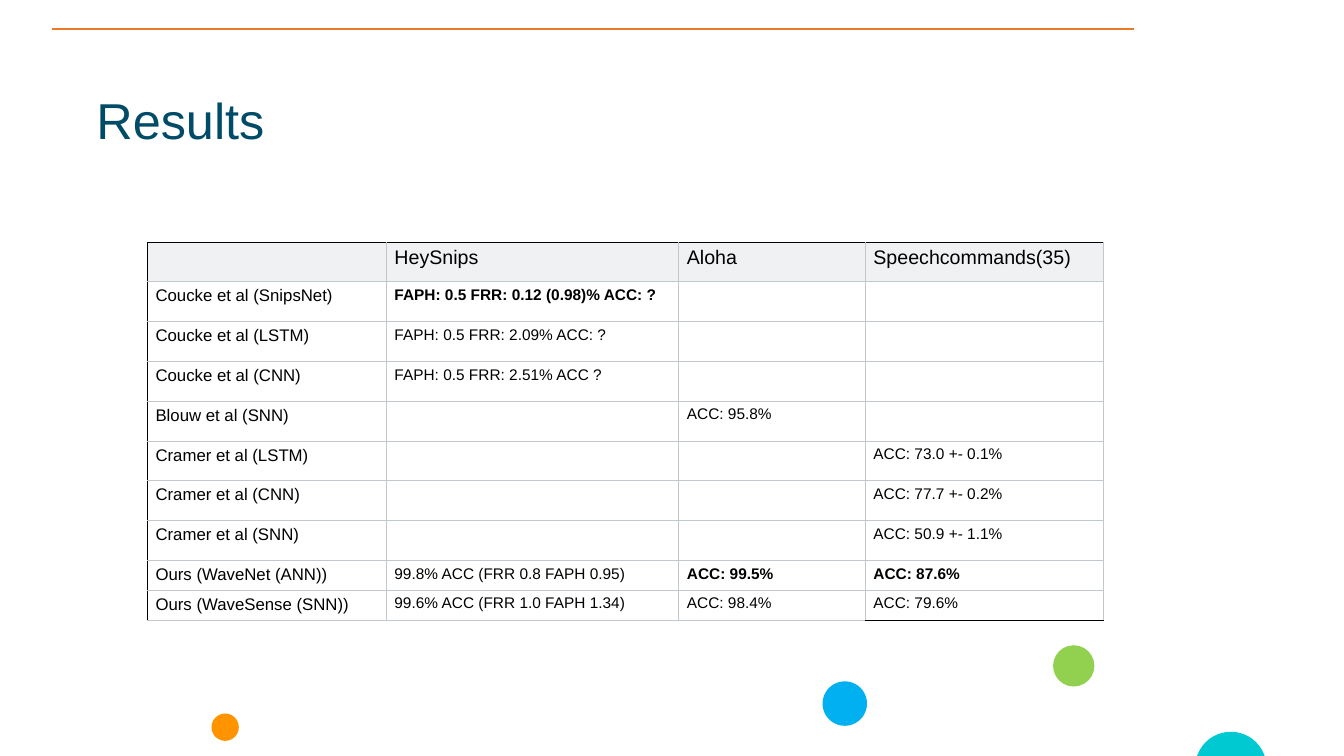
import pptx
import pptx.util
import pptx.dml.color
import pptx.enum.shapes
import pptx.enum.text
import pptx.oxml
import pptx.oxml.ns

Cm = pptx.util.Cm
Pt = pptx.util.Pt

FONT = "Arial"
COLOURS = {
    "title": "004B67", "text": "000000", "rule": "EC792A",
    "header": "F0F1F3", "body": "FFFFFF", "grid": "C1C7CD", "frame": "000000",
    "teal": "00C9D2", "blue": "00B0F0", "green": "92D050", "orange": "FF9300",
}
TITLE = "Results"
HEADER = ["", "HeySnips", "Aloha", "Speechcommands(35)"]
RESULTS = [
    ["Coucke et al (SnipsNet)", "FAPH: 0.5 FRR: 0.12 (0.98)% ACC: ?", "", ""],
    ["Coucke et al (LSTM)", "FAPH: 0.5 FRR: 2.09% ACC: ?", "", ""],
    ["Coucke et al (CNN)", "FAPH: 0.5 FRR: 2.51% ACC ?", "", ""],
    ["Blouw et al (SNN)", "", "ACC: 95.8%", ""],
    ["Cramer et al (LSTM)", "", "", "ACC: 73.0 +- 0.1%"],
    ["Cramer et al (CNN)", "", "", "ACC: 77.7 +- 0.2%"],
    ["Cramer et al (SNN)", "", "", "ACC: 50.9 +- 1.1%"],
    ["Ours (WaveNet (ANN))", "99.8% ACC (FRR 0.8 FAPH 0.95)", "ACC: 99.5%", "ACC: 87.6%"],
    ["Ours (WaveSense (SNN))", "99.6% ACC (FRR 1.0 FAPH 1.34)", "ACC: 98.4%", "ACC: 79.6%"],
]
BEST = {(1, 1), (8, 2), (8, 3)}  # row, column of the bold results

# colour, left, top, diameter in cm
DOTS = [
    ("teal", 30.12, 18.44, 1.8),
    ("blue", 20.73, 17.17, 1.12),
    ("green", 26.54, 16.26, 1.04),
    ("orange", 5.33, 17.98, 0.69),
]
COLUMN_WIDTHS = [6.02, 7.37, 4.7, 6.02]
HEADER_HEIGHT, ROW_HEIGHT = 0.81, 0.74


def rgb(name):
    return pptx.dml.color.RGBColor.from_string(COLOURS[name])


def add_run(para, text, size, colour, bold=False):
    span = para.add_run()
    span.text = text
    span.font.name = FONT
    span.font.size = Pt(size)
    span.font.bold = bold
    span.font.color.rgb = rgb(colour)


def add_dot(page, colour, left, top, diameter):
    dot = page.shapes.add_shape(pptx.enum.shapes.MSO_SHAPE.OVAL,
                                Cm(left), Cm(top), Cm(diameter), Cm(diameter))
    dot.shadow.inherit = False
    dot.fill.solid()
    dot.fill.fore_color.rgb = rgb(colour)
    dot.line.fill.background()


def add_rule(page):
    rule = page.shapes.add_connector(pptx.enum.shapes.MSO_CONNECTOR.STRAIGHT,
                                     Cm(1.32), Cm(0.74), Cm(28.58), Cm(0.74))
    rule.line.color.rgb = rgb("rule")
    rule.line.width = Pt(1.5)
    properties = rule._element.spPr
    properties.append(properties.makeelement(pptx.oxml.ns.qn("a:effectLst"), {}))


def add_title(page):
    box = page.shapes.add_textbox(Cm(2.18), Cm(2.29), Cm(28.88), Cm(2.36))
    box.text_frame.word_wrap = True
    box.text_frame.vertical_anchor = pptx.enum.text.MSO_ANCHOR.TOP
    para = box.text_frame.paragraphs[0]
    para.line_spacing = 0.9
    add_run(para, TITLE, 36, "title")


def set_borders(cell, borders):
    """Draw cell borders; borders maps L, R, T and B to colour names."""
    properties = cell._tc.get_or_add_tcPr()
    for place, side in enumerate("LRTB"):
        line = pptx.oxml.parse_xml(
            f'<a:ln{side} {pptx.oxml.ns.nsdecls("a")} w="{Pt(0.75)}"><a:solidFill>'
            f'<a:srgbClr val="{COLOURS[borders[side]]}"/></a:solidFill></a:ln{side}>')
        properties.insert(place, line)


def add_results_table(page):
    rows = [HEADER] + RESULTS
    height = HEADER_HEIGHT + ROW_HEIGHT * len(RESULTS)
    frame = page.shapes.add_table(len(rows), len(HEADER), Cm(3.71), Cm(6.1),
                                  Cm(sum(COLUMN_WIDTHS)), Cm(height))
    table = frame.table
    table.first_row = False
    table.horz_banding = False
    for column, width in zip(table.columns, COLUMN_WIDTHS):
        column.width = Cm(width)
    last = (len(rows) - 1, len(HEADER) - 1)
    for r, texts in enumerate(rows):
        table.rows[r].height = Cm(ROW_HEIGHT if r else HEADER_HEIGHT)
        for c, text in enumerate(texts):
            cell = table.cell(r, c)
            cell.margin_left = cell.margin_right = Cm(0.21)
            cell.margin_top = cell.margin_bottom = Cm(0.12)
            cell.fill.solid()
            cell.fill.fore_color.rgb = rgb("body" if r else "header")
            set_borders(cell, {
                "L": "grid" if c else "frame",
                "R": "grid",
                "T": "grid" if r else "frame",
                "B": "frame" if (r, c) == last else "grid",
            })
            if text:
                size = 14 if r == 0 else 12 if c == 0 else 11
                add_run(cell.text_frame.paragraphs[0], text, size, "text", (r, c) in BEST)


def main():
    deck = pptx.Presentation()
    deck.slide_width, deck.slide_height = Cm(33.87), Cm(19.05)
    page = deck.slides.add_slide(deck.slide_layouts[6])
    for dot in DOTS:
        add_dot(page, *dot)
    add_rule(page)
    add_title(page)
    add_results_table(page)
    deck.save("out.pptx")


if __name__ == "__main__":
    main()
